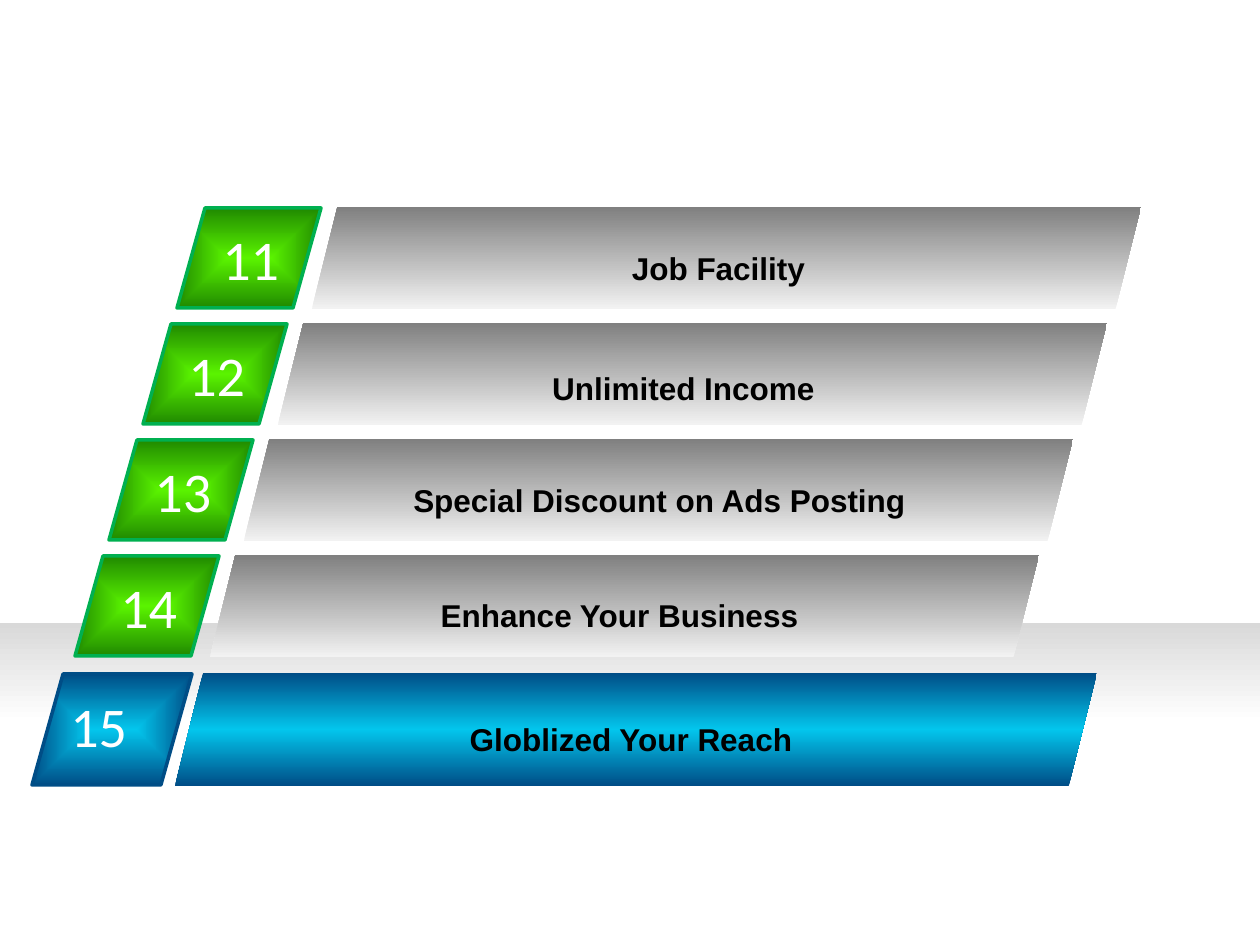
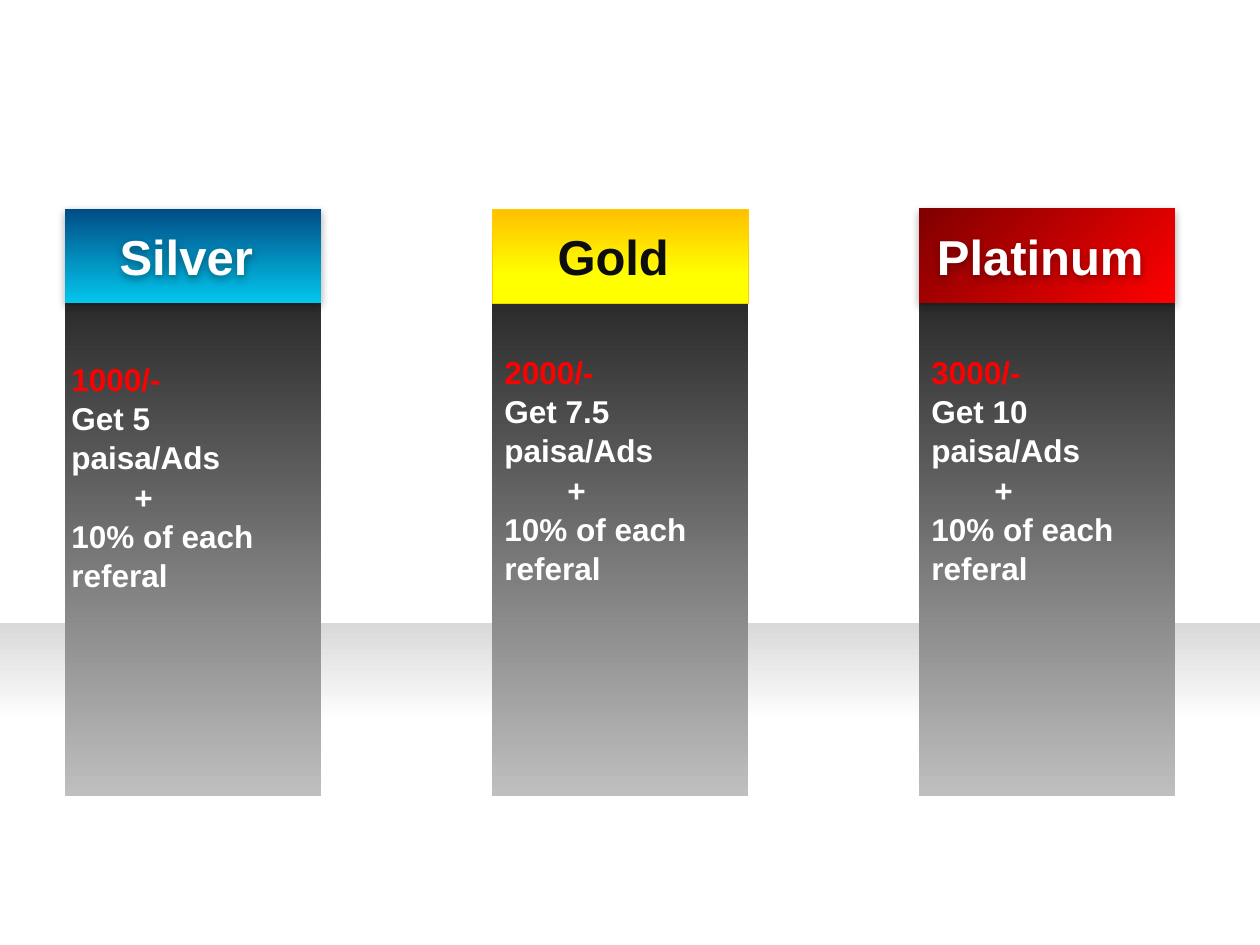
from lxml import etree
from pptx import Presentation
from pptx.dml.color import RGBColor
from pptx.enum import shapes, text
from pptx.oxml import parse_xml
from pptx.oxml.ns import nsdecls, qn
from pptx.util import Pt

PX = 914400 / 126  # EMU in one px
BLUE, SKY, WHITE, BLACK = "004D86", "03C6ED", "FFFFFF", "000000"
RECT, SLANT = shapes.MSO_SHAPE.RECTANGLE, shapes.MSO_SHAPE.PARALLELOGRAM
LEFT, CENTER = text.PP_ALIGN.LEFT, text.PP_ALIGN.CENTER
color = RGBColor.from_string


def add_block(page, kind, frame, stops, angle=None, line=None, line_width=2):
    """Add a gradient shape; without an angle the gradient spreads from the centre."""
    block = page.shapes.add_shape(kind, *[round(v * PX) for v in frame])
    block.shadow.inherit = False
    if line:
        block.line.color.rgb = color(line)
        block.line.width = Pt(line_width)
    else:
        block.line.fill.background()
    marks = "".join(f'<a:gs pos="{place * 1000}"><a:srgbClr val="{tone}"/></a:gs>'
                    for place, tone in stops)
    if angle is None:
        spread = ('<a:path path="shape"><a:fillToRect l="50000" t="50000" '
                  'r="50000" b="50000"/></a:path>')
    else:
        spread = f'<a:lin ang="{angle * 60000}" scaled="0"/>'
    fill = parse_xml(f'<a:gradFill {nsdecls("a")} rotWithShape="1">'
                     f'<a:gsLst>{marks}</a:gsLst>{spread}</a:gradFill>')
    block.element.spPr.find(qn("a:prstGeom")).addnext(fill)
    return block


def add_text(page, frame, lines, size, font, align=LEFT):
    """Add a text box; lines holds pairs of wording and colour."""
    box = page.shapes.add_textbox(*[round(v * PX) for v in frame])
    box.text_frame.word_wrap = True
    for number, (wording, tone) in enumerate(lines):
        para = box.text_frame.paragraphs[0] if number == 0 else box.text_frame.add_paragraph()
        para.text = wording
        para.alignment = align
        if "\t" in wording:
            tabs = etree.SubElement(para._p.get_or_add_pPr(), qn("a:tabLst"))
            etree.SubElement(tabs, qn("a:tab"), pos=str(round(63 * PX)), algn="l")
        para.font.size = Pt(size)
        para.font.name = font
        para.font.bold = font == "Arial"
        para.font.color.rgb = color(tone)
    return box


deck = Presentation()
deck.slide_width, deck.slide_height = round(1260 * PX), round(945 * PX)
blank = deck.slide_layouts[6]
benefits = deck.slides.add_slide(blank)
plans = deck.slides.add_slide(blank)

# Shared floor band, moved to the back of the master
floor = add_block(benefits, RECT, (0, 623, 1260, 255),
                  [(0, "D9D9D9"), (39, WHITE), (100, WHITE)], 90)
deck.slide_master.shapes.element.insert(2, floor.element)

# Numbered benefits: four stepped grey rows; wording with label left and top
labels = [
    ("Job Facility", 346, 243),
    ("Unlimited Income", 311, 363),
    ("Special Discount on Ads Posting", 287, 475),
    ("Enhance Your Business", 247, 590),
]
rows = []
for step, (wording, label_left, label_top) in enumerate(labels):
    left, top = 177 - 34 * step, 208 + 116 * step
    rows.append((wording, (left, top, 144, 100), (left + 33, top + 10, 104, 81),
                 (left + 135, top - 1, 829, 102), (label_left, label_top, 745, 50),
                 [(0, "5AF300"), (100, "208A00")], "00B050",
                 [(0, "F2F2F2"), (100, "808080")]))
# The last row is larger and blue
rows.append(("Globlized Your Reach", (32, 674, 160, 111), (58, 685, 97, 81),
             (175, 673, 922, 113), (217, 714, 828, 50),
             [(0, SKY), (100, BLUE)], BLUE,
             [(0, BLUE), (50, SKY), (100, BLUE)]))

for number, row in enumerate(rows, start=11):
    wording, tile, digits, bar, label, tile_stops, edge, bar_stops = row
    add_block(benefits, SLANT, tile, tile_stops, line=edge).adjustments[0] = 0.28
    add_text(benefits, digits, [(str(number), WHITE)], 32, "Calibri")
    add_block(benefits, SLANT, bar, bar_stops, 270)
    add_text(benefits, label, [(wording, BLACK)], 18, "Arial", CENTER)

# Price plans: name, name colour, column left, header gradient and edge, price, rate, offer frame
columns = [
    ("Silver ", WHITE, 65, [(0, SKY), (100, BLUE)], 270, None,
     "1000/-", "5", (59, 352, 261, 242)),
    ("Gold ", "0D0D0D", 492, [(0, "FFC000"), (70, "FFFF00"), (100, "FFFF00")], 90, "FFCC00",
     "2000/-", "7.5", (492, 345, 256, 242)),
    ("Platinum ", WHITE, 919, [(0, "FF0000"), (100, "800000")], 225, None,
     "3000/-", "10", (919, 345, 256, 242)),
]
for name, tone, left, stops, angle, edge, price, rate, offer_frame in columns:
    add_block(plans, RECT, (left, 285, 256, 511), [(0, "BFBFBF"), (100, "262626")], 270)
    header_frame = (left, 209, 256, 94)
    header = add_block(plans, RECT, header_frame, stops, angle, edge, 0.25)
    title = add_text(plans, header_frame, [(name, tone)], 28, "Arial", CENTER)
    title.text_frame.vertical_anchor = text.MSO_ANCHOR.MIDDLE
    # Only the headers without an edge cast a shadow
    if not edge:
        for item in (header, title):
            item.shadow.inherit = False
            item.element.spPr.find(qn("a:effectLst")).append(parse_xml(
                f'<a:outerShdw {nsdecls("a")} blurRad="63500" dist="22860" dir="5400000" '
                f'rotWithShape="0"><a:srgbClr val="{BLACK}"><a:alpha val="35000"/>'
                '</a:srgbClr></a:outerShdw>'))
    offer = add_text(plans, offer_frame,
                     [(price, "FF0000"), (f"Get {rate} paisa/Ads", WHITE),
                      ("\t+", WHITE), ("10% of each referal", WHITE)], 18, "Arial")
    for para in offer.text_frame.paragraphs:
        para.line_spacing = 1.04

deck.save("out.pptx")
